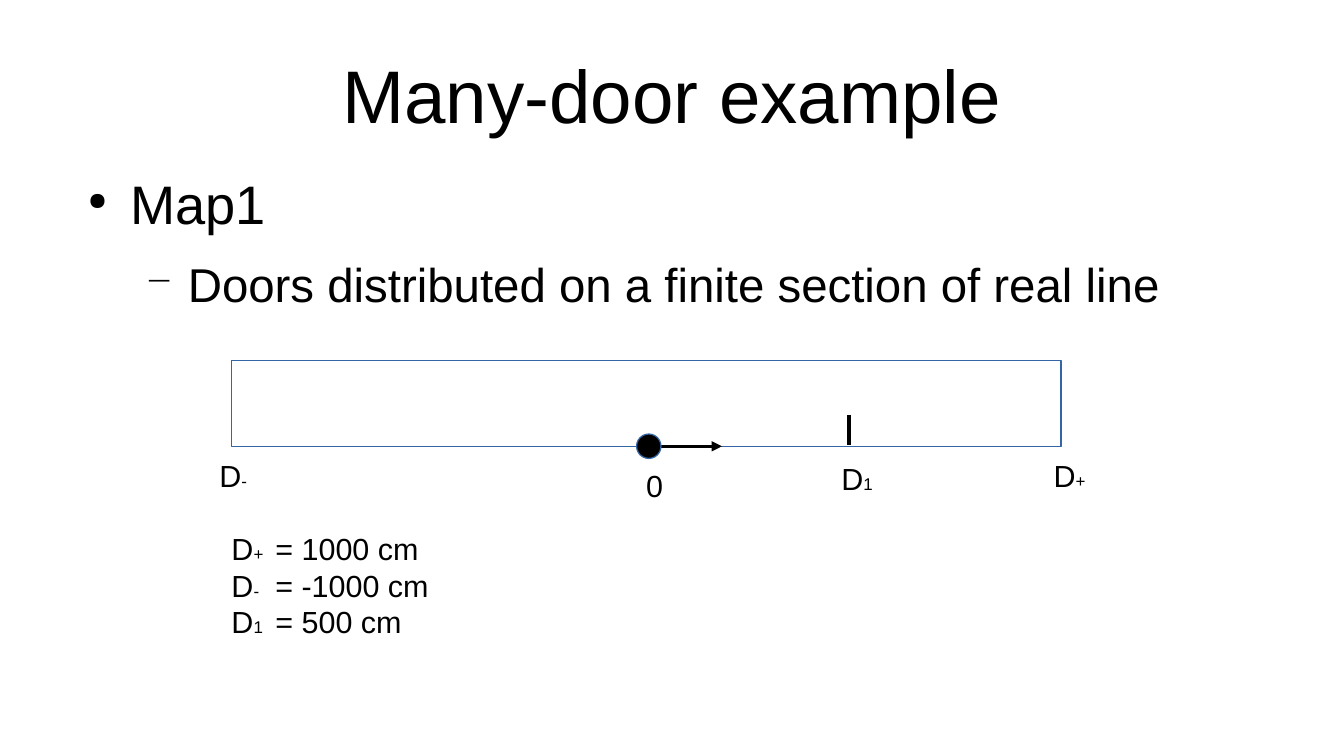
from dataclasses import dataclass

from lxml.etree import SubElement
from pptx import Presentation
from pptx.dml.color import RGBColor
from pptx.enum.shapes import MSO_CONNECTOR, MSO_SHAPE
from pptx.enum.text import MSO_ANCHOR, PP_ALIGN
from pptx.oxml.ns import qn
from pptx.util import Inches, Pt


@dataclass(frozen=True)
class Theme:
    font: str = "Arial"
    ink: RGBColor = RGBColor(0, 0, 0)
    edge: RGBColor = RGBColor(0x34, 0x65, 0xA4)
    title: int = 44
    head: int = 32
    sub: int = 28
    label: int = 18
    index: int = 10


class Deck:
    def __init__(self, slide, theme):
        self.slide, self.theme = slide, theme

    def frame(self, left, top, width, height, pad=(0.1, 0.05)):
        box = self.slide.shapes.add_textbox(*map(Inches, (left, top, width, height)))
        frame = box.text_frame
        frame.word_wrap = True
        frame.margin_left = frame.margin_right = Inches(pad[0])
        frame.margin_top = frame.margin_bottom = Inches(pad[1])
        return frame

    def fill(self, frame, lines):
        """Each line is a list of (text, size) runs."""
        for i, line in enumerate(lines):
            para = frame.add_paragraph() if i else frame.paragraphs[0]
            for text, size in line:
                run = para.add_run()
                run.text = text
                run.font.name = self.theme.font
                run.font.size = Pt(size)
                run.font.color.rgb = self.theme.ink
        return frame.paragraphs

    def name(self, text, index=""):
        runs = [(text, self.theme.label)]
        return runs + [(index, self.theme.index)] if index else runs

    def bullet(self, para, mark, scale, left, before):
        para.space_before = Pt(before)
        props = para._p.get_or_add_pPr()
        props.set("marL", str(Inches(left)))
        props.set("indent", str(Inches(-0.35)))
        color = SubElement(props, qn("a:buClr"))
        SubElement(color, qn("a:srgbClr"), val=str(self.theme.ink))
        SubElement(props, qn("a:buSzPct"), val=str(scale * 1000))
        SubElement(props, qn("a:buChar"), char=mark)

    def tab(self, para, place):
        stops = SubElement(para._p.get_or_add_pPr(), qn("a:tabLst"))
        SubElement(stops, qn("a:tab"), pos=str(Inches(place)), algn="l")

    def shape(self, kind, left, top, width, height, color=None):
        item = self.slide.shapes.add_shape(
            kind, *map(Inches, (left, top, width, height)))
        item.shadow.inherit = False
        if color is None:
            item.fill.background()
        else:
            item.fill.solid()
            item.fill.fore_color.rgb = color
        item.line.color.rgb = self.theme.edge
        item.line.width = Pt(0)

    def line(self, start, end, arrow=False):
        item = self.slide.shapes.add_connector(
            MSO_CONNECTOR.STRAIGHT, *map(Inches, start + end))
        item.line.color.rgb = self.theme.ink
        item.line.width = Pt(0)
        if arrow:
            SubElement(item.line._get_or_add_ln(), qn("a:tailEnd"), type="triangle")
        SubElement(item._element.spPr, qn("a:effectLst"))


show = Presentation()
show.slide_width, show.slide_height = Inches(11.02), Inches(6.2)
theme = Theme()
deck = Deck(show.slides.add_slide(show.slide_layouts[6]), theme)

# Title
title = deck.frame(0.55, 0.25, 9.92, 1.04, (0, 0))
title.vertical_anchor = MSO_ANCHOR.MIDDLE
deck.fill(title, [[("Many-door example", theme.title)]])[0].alignment = PP_ALIGN.CENTER

# Bulleted text
body = deck.frame(0.6, 1.4, 9.92, 3.6, (0, 0))
head, sub = deck.fill(body, [
    [("Map1", theme.head)],
    [("Doors distributed on a finite section of real line", theme.sub)],
])
sub.level = 1
deck.bullet(head, "●", 45, 0.47, 14.2)
deck.bullet(sub, "−", 75, 0.94, 11.3)

# Corridor with origin, direction and door
base, zero, door, dot = 3.66, 5.32, 6.96, 0.2
deck.shape(MSO_SHAPE.RECTANGLE, 1.9, base - 0.7, 6.8, 0.7)
deck.line((zero, base), (zero + 0.6, base), arrow=True)
deck.shape(MSO_SHAPE.OVAL, zero - dot / 2, base - dot / 2, dot, dot, theme.ink)
deck.line((door, 3.4), (door, 3.65))

# Labels below the corridor
for text, index, left, top, width in [
    ("D", "-", 1.7, 3.7, 0.76),
    ("0", "", 5.2, 3.78, 0.36),
    ("D", "1", 6.8, 3.72, 0.74),
    ("D", "+", 8.54, 3.7, 0.76),
]:
    deck.fill(deck.frame(left, top, width, 0.38), [deck.name(text, index)])

# Values
values = [("+", "1000"), ("-", "-1000"), ("1", "500")]
lines = [deck.name("D", index) + deck.name(f"\t= {value} cm")
         for index, value in values]
for para in deck.fill(deck.frame(1.8, 4.3, 7.5, 1.22), lines):
    deck.tab(para, 0.36)

show.save("out.pptx")
